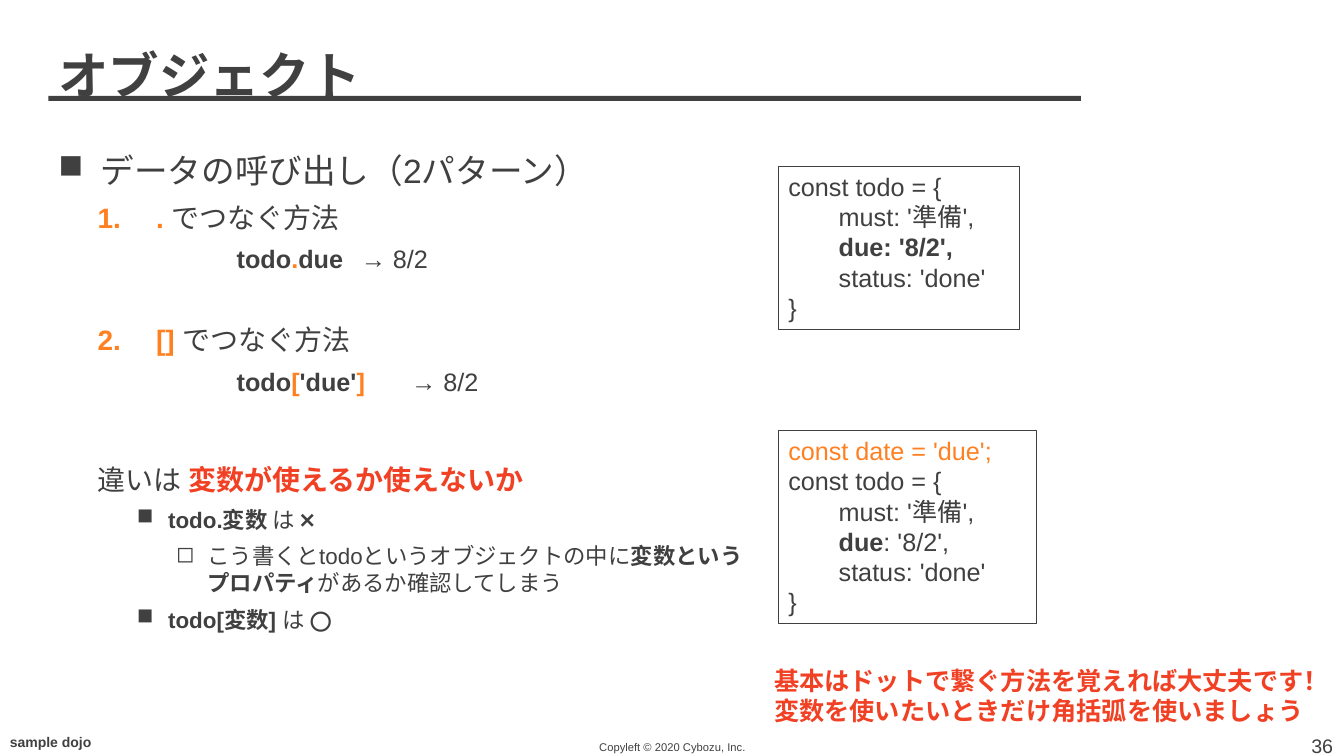
from lxml import etree
from pptx import Presentation
from pptx.dml.color import RGBColor
from pptx.enum.shapes import MSO_SHAPE
from pptx.enum.text import MSO_ANCHOR, MSO_AUTO_SIZE, PP_ALIGN
from pptx.oxml.ns import qn
from pptx.util import Inches, Pt

DARK = RGBColor(0x40, 0x40, 0x40)
ORANGE = RGBColor(0xFF, 0x80, 0x21)
RED = RGBColor(0xF1, 0x41, 0x24)
LEFT, CENTER, RIGHT = PP_ALIGN.LEFT, PP_ALIGN.CENTER, PP_ALIGN.RIGHT
TOP, MIDDLE = MSO_ANCHOR.TOP, MSO_ANCHOR.MIDDLE
RECTANGLE = MSO_SHAPE.RECTANGLE
FIT_SHAPE = MSO_AUTO_SIZE.SHAPE_TO_FIT_TEXT


class SlideBuilder:
    """Draws styled elements on the current slide."""

    font = "Arial"

    def __init__(self, page):
        self.page = page

    def add_spans(self, para, spans, size):
        for text, color, bold in spans:
            if text == "\n":
                para.add_line_break()
                continue
            span = para.add_run()
            span.text = text
            span.font.name = self.font
            span.font.size = Pt(size)
            span.font.bold = bold
            span.font.color.rgb = color

    def indent(self, para, margin, first, bullet=None, number=None, tab=None):
        props = para._p.get_or_add_pPr()
        props.set("marL", str(Inches(margin)))
        props.set("indent", str(Inches(first)))
        if bullet:
            etree.SubElement(props, qn("a:buChar"), char=bullet)
        elif number:
            etree.SubElement(props, qn("a:buAutoNum"), type="arabicPeriod", startAt=str(number))
        else:
            etree.SubElement(props, qn("a:buNone"))
        if tab:
            stops = etree.SubElement(props, qn("a:tabLst"))
            etree.SubElement(stops, qn("a:tab"), pos=str(Inches(tab)), algn="l")

    def paragraphs(self, frame, count):
        return [frame.paragraphs[0]] + [frame.add_paragraph() for _ in range(count - 1)]

    def text(self, place, lines, size, color=DARK, bold=False, align=LEFT, anchor=TOP, wrap=True):
        box = self.page.shapes.add_textbox(*map(Inches, place))
        frame = box.text_frame
        frame.word_wrap = wrap
        frame.vertical_anchor = anchor
        for para, line in zip(self.paragraphs(frame, len(lines)), lines):
            para.alignment = align
            self.add_spans(para, [(line, color, bold)], size)

    def outline(self, place, items):
        box = self.page.shapes.add_textbox(*map(Inches, place))
        box.text_frame.word_wrap = True
        for para, item in zip(self.paragraphs(box.text_frame, len(items)), items):
            level, size, before, layout, spans = item
            para.level = level
            self.indent(para, **layout)
            para.space_before, para.space_after = Pt(before), Pt(2)
            self.add_spans(para, spans, size)

    def rectangle(self, place):
        shape = self.page.shapes.add_shape(RECTANGLE, *map(Inches, place))
        shape.shadow.inherit = False
        return shape

    def bar(self, place):
        shape = self.rectangle(place)
        shape.fill.solid()
        shape.fill.fore_color.rgb = DARK
        shape.line.fill.background()

    def code(self, place, lines):
        shape = self.rectangle(place)
        shape.fill.background()
        shape.line.color.rgb = DARK
        shape.line.width = Pt(0.75)
        frame = shape.text_frame
        frame.word_wrap = False
        frame.auto_size = FIT_SHAPE
        frame.vertical_anchor = TOP
        for para, spans in zip(self.paragraphs(frame, len(lines)), lines):
            para.alignment = LEFT
            self.indent(para, 0, 0, tab=0.5)
            self.add_spans(para, spans, 18)


def plain(text):
    return text, DARK, False


def strong(text, color=DARK):
    return text, color, True


def main():
    deck = Presentation()
    deck.slide_width, deck.slide_height = Inches(13.33), Inches(7.5)
    slide = SlideBuilder(deck.slides.add_slide(deck.slide_layouts[6]))

    slide.text((0, 7.23, 1.81, 0.27), ["sample dojo"], 10, bold=True)
    slide.bar((0.48, 0.95, 10.24, 0.05))
    slide.text((4.42, 7.32, 4.5, 0.18), ["Copyleft © 2020 Cybozu, Inc."], 8,
               align=CENTER, anchor=MIDDLE)

    heading = {"margin": 0.42, "first": -0.42, "bullet": "■"}
    first_way, second_way = ({"margin": 0.97, "first": -0.58, "number": number}
                             for number in (1, 2))
    sample = {"margin": 0, "first": 1.77, "tab": 3.78}
    difference = {"margin": 0.39, "first": 0}
    point = {"margin": 1.09, "first": -0.31, "bullet": "■"}
    detail = {"margin": 1.48, "first": -0.31, "bullet": "◻"}
    slide.outline((0.48, 1.44, 12.57, 5.67), [
        (0, 24, 0, heading, [plain("データの呼び出し（2パターン）")]),
        (1, 20, 5, first_way, [strong(". ", ORANGE), plain("でつなぐ方法")]),
        (2, 18, 5, sample, [strong("todo"), strong(".", ORANGE), strong("due \t"),
                            plain("→ 8/2")]),
        (1, 20, 33, second_way, [strong("[] ", ORANGE), plain("でつなぐ方法")]),
        (2, 18, 5, sample, [strong("todo"), strong("[", ORANGE), strong("'due'"),
                            strong("] \t", ORANGE), plain("→ 8/2")]),
        (1, 20, 45, difference, [plain("違いは "), strong("変数が使えるか使えないか", RED)]),
        (2, 16, 5, point, [strong("todo.変数"), plain(" は ❌")]),
        (3, 16, 5, detail, [plain("こう書くとtodoというオブジェクトの中に"),
                            strong("変数という"), strong("\n"), strong("プロパティ"),
                            plain("があるか確認してしまう")]),
        (2, 16, 5, point, [strong("todo[変数] "), plain("は ⭕")]),
    ])

    slide.text((0.48, 0.39, 12.57, 0.75), ["オブジェクト"], 36, bold=True)
    slide.text((11.57, 7.23, 1.75, 0.27), ["36"], 14, align=RIGHT)

    opening = [[plain("const todo = {")], [plain("\tmust: '準備',")]]
    closing = [[plain("\tstatus: 'done'")], [plain("}")]]
    slide.code((7.72, 1.65, 2.39, 1.62),
               opening + [[plain("\t"), strong("due: '8/2',")]] + closing)
    slide.code((7.72, 4.27, 2.56, 1.92),
               [[("const date = 'due';", ORANGE, False)]] + opening
               + [[plain("\t"), strong("due"), plain(": '8/2',")]] + closing)
    slide.text((7.58, 6.55, 5.76, 0.71),
               ["基本はドットで繋ぐ方法を覚えれば大丈夫です！",
                "変数を使いたいときだけ角括弧を使いましょう"],
               18, RED, bold=True, wrap=False)
    deck.save("out.pptx")


if __name__ == "__main__":
    main()
